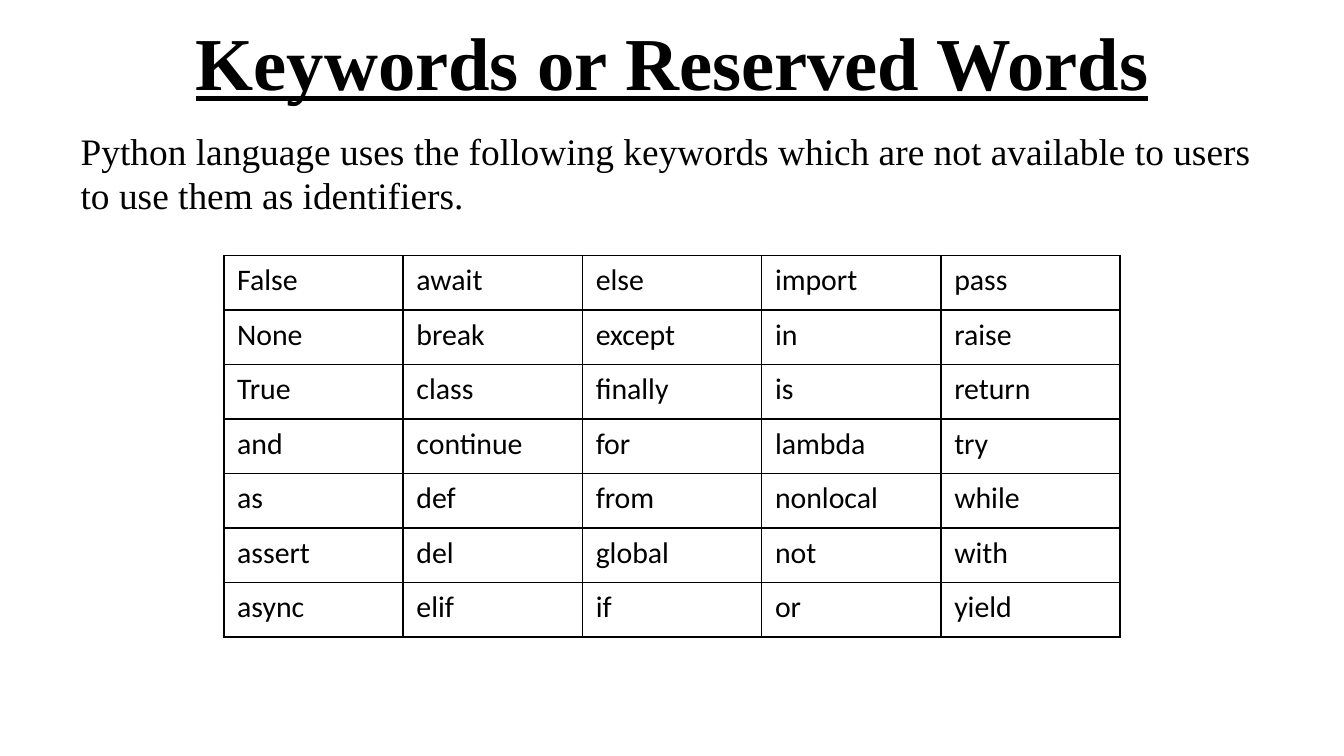
from lxml import etree
from pptx import Presentation
from pptx.dml.color import RGBColor
from pptx.enum import text
from pptx.oxml import ns
from pptx.util import Inches, Pt

# Content
HEADING = "Keywords or Reserved Words"
INTRO = ("Python language uses the following keywords which are not available "
         "to users to use them as identifiers.")
KEYWORD_COLUMNS = [
    ["False", "None", "True", "and", "as", "assert", "async"],
    ["await", "break", "class", "continue", "def", "del", "elif"],
    ["else", "except", "finally", "for", "from", "global", "if"],
    ["import", "in", "is", "lambda", "nonlocal", "not", "or"],
    ["pass", "raise", "return", "try", "while", "with", "yield"],
]
BLACK = "000000"
SERIF, SANS = "Times New Roman", "Calibri"


def style(font, name, size, color=BLACK):
    font.name = name
    font.size = Pt(size)
    font.color.rgb = RGBColor.from_string(color)


def place(holder, left, top, width, height):
    holder.left, holder.top = Inches(left), Inches(top)
    holder.width, holder.height = Inches(width), Inches(height)


def fill_placeholder(holder, words, anchor):
    frame = holder.text_frame
    frame.text = words
    frame.word_wrap = True
    frame.auto_size = text.MSO_AUTO_SIZE.NONE
    frame.vertical_anchor = anchor
    return frame.paragraphs[0]


def add_borders(cell, color=BLACK, width=1):
    properties = cell._tc.get_or_add_tcPr()
    for position, side in enumerate(("a:lnL", "a:lnR", "a:lnT", "a:lnB")):
        line = etree.Element(ns.qn(side), w=str(Pt(width)))
        solid = etree.SubElement(line, ns.qn("a:solidFill"))
        etree.SubElement(solid, ns.qn("a:srgbClr"), val=color)
        properties.insert(position, line)


# Widescreen 16:9 slide
presentation = Presentation()
presentation.slide_width = Inches(10)
presentation.slide_height = presentation.slide_width * 9 // 16
slide = presentation.slides.add_slide(presentation.slide_layouts[1])

# Title
title = slide.shapes.title
place(title, 0.5, -0.02, 9, 0.94)
heading = fill_placeholder(title, HEADING, text.MSO_ANCHOR.MIDDLE)
heading.alignment = text.PP_ALIGN.CENTER
style(heading.font, SERIF, 40)
heading.font.bold = heading.font.underline = True

# Introduction, without a bullet
body = slide.placeholders[1]
place(body, 0.5, 0.9, 9, 0.83)
intro = fill_placeholder(body, INTRO, text.MSO_ANCHOR.TOP)
intro.space_before = Pt(0)
intro_properties = intro._p.get_or_add_pPr()
intro_properties.set("marL", "0")
intro_properties.set("indent", "0")
etree.SubElement(intro_properties, ns.qn("a:buNone"))
style(intro.font, SERIF, 20)

# Keyword table, centred across the slide
table_width = Inches(6.67)
keywords = slide.shapes.add_table(
    len(KEYWORD_COLUMNS[0]), len(KEYWORD_COLUMNS),
    (presentation.slide_width - table_width) // 2, Inches(1.9),
    table_width, Inches(2.84)).table
keywords.first_row = keywords.horz_banding = False
for column, words in enumerate(KEYWORD_COLUMNS):
    for row, word in enumerate(words):
        cell = keywords.cell(row, column)
        cell.text = word
        cell.fill.background()
        add_borders(cell)
        style(cell.text_frame.paragraphs[0].font, SANS, 16)

presentation.save("out.pptx")
